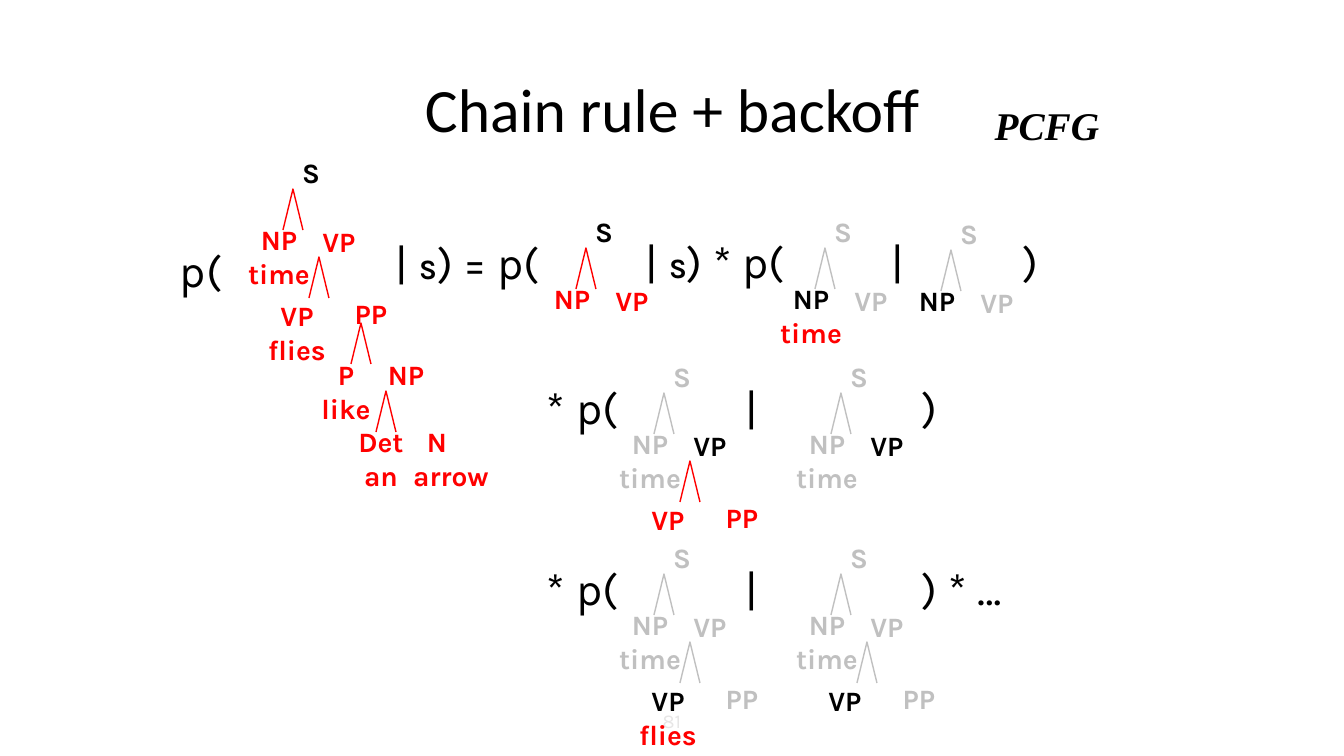
from dataclasses import dataclass

from pptx import Presentation
from pptx import util as u
from pptx.dml.color import RGBColor
from pptx.enum import text as t

PX = 914400 / 100.8


@dataclass(frozen=True)
class Theme:
    ink: str = "000000"
    red: str = "FF0000"
    gray: str = "C0C0C0"
    pale: str = "E7E6E6"
    head: str = "Calibri"
    body: str = "Karla"
    serif: str = "Times New Roman"
    title: int = 44
    math: int = 32
    tag: int = 28
    node: int = 20
    page: int = 14


TH = Theme()
HUES = {"k": TH.ink, "r": TH.red, "g": TH.gray}
CENTER = t.PP_ALIGN.CENTER

# Node centres and tops, measured from the centre top of a tree's S
NODES = {
    "s": (0, 0), "np": (-32, 67), "vp": (28, 69),
    "vp2": (-14, 143), "pp": (60, 141),
    "p": (35, 202), "np2": (95, 202),
    "det": (70, 269), "n": (126, 269), "obj": (140, 303),
}
FORKS = {"f1": (-18, 38), "f2": (8, 106), "f3": (50, 172), "f4": (75, 240)}
WIDTHS = {"S": 38, "NP": 60, "VP": 57, "PP": 57, "time": 84, "flies": 78,
          "like": 70, "Det": 70, "N": 43, "arrow": 96}


def emu(n):
    return u.Emu(round(n * PX))


def add_run(para, words, size, hue, font=TH.body, bold=False, italic=False):
    run = para.add_run()
    run.text = words
    face = run.font
    face.name, face.size = font, u.Pt(size)
    face.bold, face.italic = bold, italic
    face.color.rgb = RGBColor.from_string(hue)


def add_box(slide, x, y, w, h):
    box = slide.shapes.add_textbox(emu(x), emu(y), emu(w), emu(h))
    frame = box.text_frame
    frame.word_wrap = False
    frame.auto_size = t.MSO_AUTO_SIZE.SHAPE_TO_FIT_TEXT
    return frame


def add_node(slide, x, y, words, hues):
    """Stack a category and its word, centred on x."""
    lines = words.split()
    wide = WIDTHS[max(lines, key=len)]
    frame = add_box(slide, x - wide / 2, y, wide, 9 + 34 * len(lines))
    for i, (line, hue) in enumerate(zip(lines, hues)):
        para = frame.add_paragraph() if i else frame.paragraphs[0]
        para.alignment = CENTER
        add_run(para, line, TH.node, HUES[hue], bold=True)


def add_fork(slide, x, y, hue):
    """Two branches that fall from the apex at x, y."""
    path = slide.shapes.build_freeform(x - 10, y + 41, scale=PX)
    path.add_line_segments([(x, y), (x + 10, y + 41)], close=False)
    fork = path.convert_to_shape()
    fork.fill.background()
    fork.line.color.rgb = RGBColor.from_string(HUES[hue])
    fork.line.width = u.Pt(1)
    fork.shadow.inherit = False


def add_tree(slide, x, y, nodes, forks):
    for key, words, hues in nodes:
        dx, dy = NODES[key]
        add_node(slide, x + dx, y + dy, words, hues)
    for (dx, dy), hue in zip(FORKS.values(), forks):
        add_fork(slide, x + dx, y + dy, hue)


def add_math(slide, x, y, w, words):
    """One piece of the formula; a start symbol S is small and bold."""
    para = add_box(slide, x, y, w, 63).paragraphs[0]
    left, mark, right = words.partition("S")
    add_run(para, left, TH.math, TH.ink)
    if mark:
        add_run(para, mark, TH.node, TH.ink, bold=True)
        add_run(para, right, TH.math, TH.ink)


def add_head(slide, x, y, w, h):
    title = slide.shapes.title
    title.left, title.top, title.width, title.height = map(emu, (x, y, w, h))
    frame = title.text_frame
    frame.vertical_anchor = t.MSO_ANCHOR.MIDDLE
    para = frame.paragraphs[0]
    para.alignment, para.line_spacing = CENTER, 0.9
    add_run(para, "Chain rule + backoff", TH.title, TH.ink, TH.head)
    tag = add_box(slide, x + 890, y + 56, 126, 55).paragraphs[0]
    tag.alignment = t.PP_ALIGN.RIGHT
    add_run(tag, "PCFG", TH.tag, TH.ink, TH.serif, True, True)


def add_page(slide, x, y, w, h):
    frame = add_box(slide, x, y, w, h)
    frame.word_wrap = True
    frame.auto_size = t.MSO_AUTO_SIZE.NONE
    frame.vertical_anchor = t.MSO_ANCHOR.MIDDLE
    frame.paragraphs[0].alignment = CENTER
    add_run(frame.paragraphs[0], "81", TH.page, TH.pale)


def add_first(slide, x, y):
    """Full parse, then the first two factors."""
    for dx, dy, w, words in [(0, 9, 62, "p("), (216, 1, 188, "| S) = p("),
                             (466, 0, 180, "| S) * p("), (712, 0, 37, "|"),
                             (843, 0, 37, ")")]:
        add_math(slide, x + dx, y + dy, w, words)
    add_tree(slide, x + 141, y - 78, [
        ("s", "S", "k"), ("np", "NP time", "rr"), ("vp", "VP", "r"),
        ("vp2", "VP flies", "rr"), ("pp", "PP", "r"),
        ("p", "P like", "rr"), ("np2", "NP", "r"),
        ("det", "Det an", "rr"), ("n", "N", "r"), ("obj", "arrow", "r")],
        "rrrr")
    for dx, dy, top, noun, hues, verb in [
            (434, -19, "k", "NP", "r", "r"),
            (673, -19, "g", "NP time", "kr", "g"),
            (799, -17, "g", "NP", "k", "g")]:
        add_tree(slide, x + dx, y + dy, [
            ("s", "S", top), ("np", noun, hues), ("vp", "VP", verb)], verb)


def add_row(slide, x, y, end, wide, verb, left, right, forks):
    """One further factor: a grown tree given a partial one."""
    for dx, w, words in [(0, 101, "* p("), (199, 37, "|"), (375, wide, end)]:
        add_math(slide, x + dx, y, w, words)
    stem = [("s", "S", "g"), ("np", "NP time", "gg"), ("vp", "VP", verb)]
    for dx, extra, hues in zip((145, 322), (left, right), forks):
        add_tree(slide, x + dx, y - 20, stem + extra, hues)


def main():
    deck = Presentation()
    deck.slide_width, deck.slide_height = emu(1344), emu(756)
    slide = deck.slides.add_slide(deck.slide_layouts[5])
    add_page(slide, 445, 701, 454, 40)
    add_head(slide, 93, 40, 1159, 146)
    add_first(slide, 170, 229)
    add_row(slide, 537, 375, ")", 37, "k",
            [("vp2", "VP", "r"), ("pp", "PP", "r")], [], ("gr", "g"))
    add_row(slide, 537, 556, ") * …", 127, "g",
            [("vp2", "VP flies", "kr"), ("pp", "PP", "g")],
            [("vp2", "VP", "k"), ("pp", "PP", "g")], ("gg", "gg"))
    deck.save("out.pptx")


if __name__ == "__main__":
    main()
